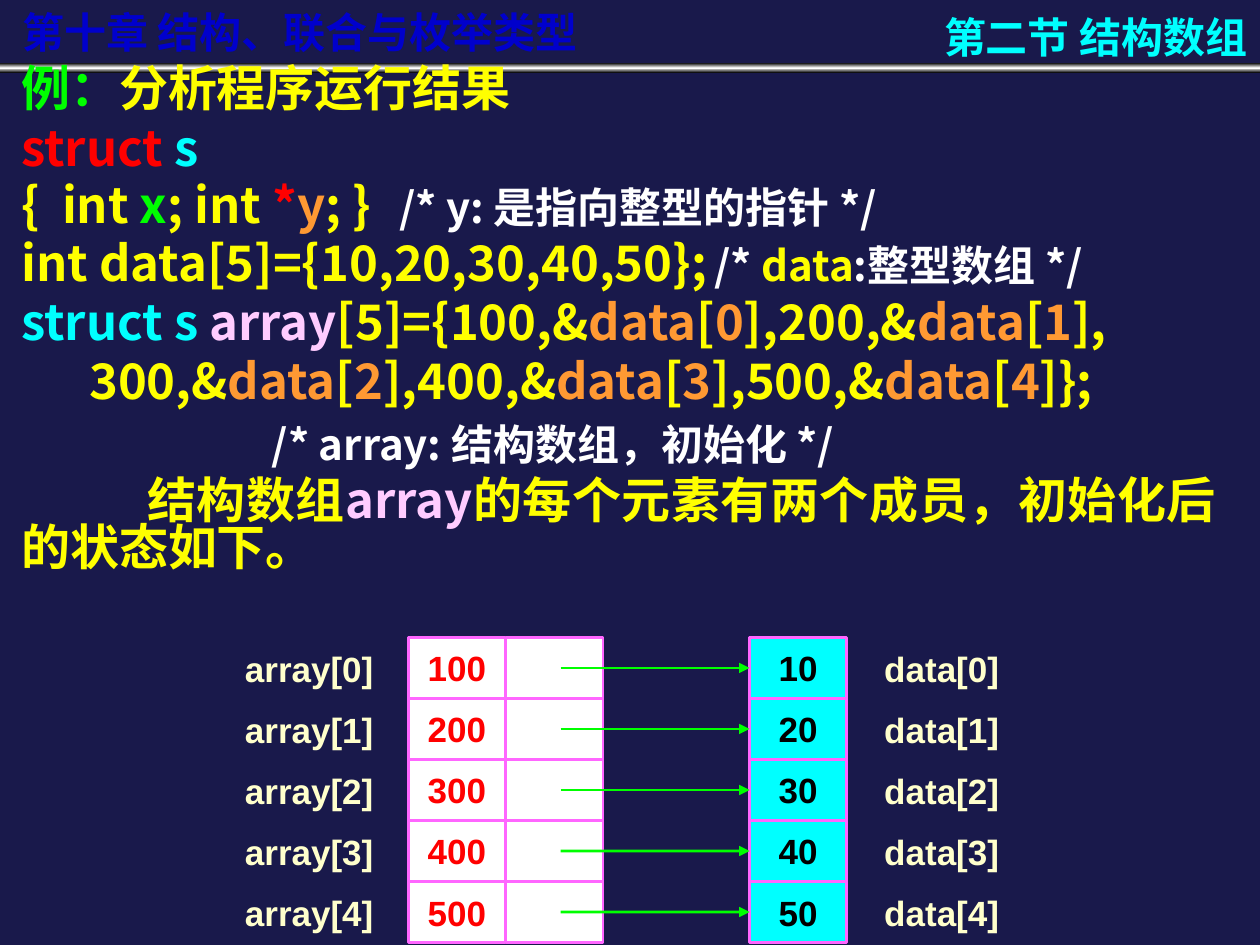
import copy
import pptx
import pptx.util
import pptx.oxml
from pptx.dml.color import RGBColor
from pptx.enum.shapes import MSO_CONNECTOR, MSO_SHAPE
from pptx.enum.text import MSO_ANCHOR, PP_ALIGN
from pptx.oxml.ns import qn
from dataclasses import dataclass
from lxml import etree

Cm, Pt = pptx.util.Cm, pptx.util.Pt


@dataclass(frozen=True)
class Theme:
    back: str = "19194B"
    blue: str = "0000CC"
    cyan: str = "00FFFF"
    green: str = "00FF00"
    yellow: str = "FFFF00"
    red: str = "FF0000"
    orange: str = "FF9933"
    pink: str = "FFCCFF"
    edge: str = "FF66FF"
    cream: str = "FFFFCC"
    white: str = "FFFFFF"
    black: str = "000000"
    shade: str = "6A6A88"
    code: int = 28
    note: int = 24
    cell: int = 20
    sans: str = "Noto Sans CJK SC"
    arial: str = "Arial"


T = Theme()


def add_run(para, text, color, size, face):
    run = para.add_run()
    run.text = text
    font = run.font
    font.size, font.bold, font.name = Pt(size), True, face
    font.color.rgb = RGBColor.from_string(color)
    latin = font._element.find(qn("a:latin"))
    east = etree.Element(qn("a:ea"), typeface=face)
    latin.addnext(east)
    return run


def add_text(left, top, width, height, anchor=MSO_ANCHOR.MIDDLE, wrap=True):
    """Add an empty text box and return its frame."""
    box = slide.shapes.add_textbox(Cm(left), Cm(top), Cm(width), Cm(height))
    frame = box.text_frame
    frame.word_wrap = wrap
    frame.vertical_anchor = anchor
    return frame


deck = pptx.Presentation()
deck.slide_width, deck.slide_height = Cm(25.4), Cm(19.05)
slide = deck.slides.add_slide(deck.slide_layouts[6])
slide.background.fill.solid()
slide.background.fill.fore_color.rgb = RGBColor.from_string(T.back)

# Header rule, shaded from black to white and back
bar = slide.shapes.add_shape(MSO_SHAPE.RECTANGLE, 0, Cm(1.27), Cm(25.4), Cm(0.2))
bar.shadow.inherit = False
bar.line.fill.background()
bar.fill.gradient()
bar.fill.gradient_angle = 90
stops = bar.fill.gradient_stops
for stop in stops:
    stop.color.rgb = RGBColor.from_string(T.black)
first = stops[0]._gs
mid = copy.deepcopy(first)
mid.set("pos", "50000")
first.addnext(mid)
bar.fill.gradient_stops[1].color.rgb = RGBColor.from_string(T.white)

# Chapter title with a text shadow, and section title
frame = add_text(0.2, 0.2, 12.7, 1.07, MSO_ANCHOR.BOTTOM)
run = add_run(frame.paragraphs[0], "第十章 结构、联合与枚举类型", T.blue, T.note, T.sans)
glow = pptx.oxml.parse_xml(
    '<a:effectLst xmlns:a="http://schemas.openxmlformats.org/drawingml/2006/main">'
    '<a:outerShdw dist="17961" dir="2700000">'
    f'<a:srgbClr val="{T.shade}"/></a:outerShdw></a:effectLst>')
run.font._element.find(qn("a:solidFill")).addnext(glow)

frame = add_text(15.44, 0, 9.96, 1.47, wrap=False)
frame.paragraphs[0].alignment = PP_ALIGN.RIGHT
add_run(frame.paragraphs[0], "第二节 结构数组", T.cyan, T.note, T.sans)

# Program text: space before, left margin, first indent, tab stop, runs
data, code = ("data", T.orange), T.yellow
lines = [
    (0, 0, 0, 0, [("例：", T.green), ("分析程序运行结果", code)]),
    (7, 0, 0, 0, [("struct ", T.red), ("s", T.cyan)]),
    (6, 0, 0, 9, [("{  int ", code), ("x", T.green), ("; int ", code),
                  ("*", T.red), ("y", T.orange), ("; }", code),
                  ("\t/* y: 是指向整型的指针 */", T.white, T.note)]),
    (6, 0, 0, 14.3, [("int data[5]={10,20,30,40,50};", code),
                     ("\t/* ", T.white, T.note), ("data", code, T.note),
                     (":整型数组 */", T.white, T.note)]),
    (7, 0, 0, 0, [("struct s ", T.cyan), ("array", T.pink), ("[5]={100,&", code),
                  data, ("[", code), ("0", T.orange), ("],200,&", code),
                  data, ("[", code), ("1", T.orange), ("],", code)]),
    (7, 1.37, 0, 0, [("300,&", code), data, ("[", code), ("2", T.orange),
                     ("],400,&", code), data, ("[", code), ("3", T.orange),
                     ("],500,&", code), data, ("[", code), ("4", T.orange),
                     ("]};", code)]),
    (11, 5.05, 0, 0, [("/* array: 结构数组，初始化 */", T.white, T.note)]),
    (7, 0, 2.54, 0, [("结构数组", code), ("array", T.pink),
                     ("的每个元素有两个成员，初始化后的状态如下。", code)]),
]
frame = add_text(0.18, 1.27, 24.59, 11.46, MSO_ANCHOR.TOP)
for row, (gap, left, indent, tab, runs) in enumerate(lines):
    para = frame.add_paragraph() if row else frame.paragraphs[0]
    para.alignment = PP_ALIGN.JUSTIFY
    para.line_spacing = 0.8
    if row:
        para.space_before = Pt(gap)
    props = para._p.get_or_add_pPr()
    props.set("marL", str(Cm(left)))
    props.set("indent", str(Cm(indent)))
    if tab:
        tabs = etree.SubElement(props, qn("a:tabLst"))
        etree.SubElement(tabs, qn("a:tab"), pos=str(Cm(tab)), algn="l")
    for text, color, *size in runs:
        add_run(para, text, color, size[0] if size else T.code, T.sans)

# Array cells, each pointing to its data cell
start, pitch, width = 12.85, 1.23, 1.96
for row in range(5):
    top = start + row * pitch
    cells = [(8.23, str(100 * (row + 1)), T.white, T.red),
             (10.2, "", T.white, T.red),
             (15.11, str(10 * (row + 1)), T.cyan, T.black)]
    for left, text, fill, color in cells:
        cell = slide.shapes.add_shape(
            MSO_SHAPE.RECTANGLE, Cm(left), Cm(top), Cm(width), Cm(pitch))
        cell.shadow.inherit = False
        cell.fill.solid()
        cell.fill.fore_color.rgb = RGBColor.from_string(fill)
        cell.line.color.rgb = RGBColor.from_string(T.edge)
        cell.line.width = Pt(1.5)
        if text:
            para = cell.text_frame.paragraphs[0]
            para.alignment = PP_ALIGN.CENTER
            add_run(para, text, color, T.cell, T.arial)

    for left, span, name in [(4.24, 3.99, "array"), (17.04, 3.89, "data")]:
        para = add_text(left, top + 0.06, span, 1.12).paragraphs[0]
        para.alignment = PP_ALIGN.CENTER
        add_run(para, f"{name}[{row}]", T.cream, T.cell, T.arial)

    level = Cm(top + pitch / 2)
    link = slide.shapes.add_connector(
        MSO_CONNECTOR.STRAIGHT, Cm(11.3), level, Cm(15.11), level)
    link.end_connect(cell, 1)
    link.line.color.rgb = RGBColor.from_string(T.green)
    link.line.width = Pt(1.5)
    etree.SubElement(link.line._get_or_add_ln(), qn("a:tailEnd"), type="triangle")
    etree.SubElement(link._element.spPr, qn("a:effectLst"))

deck.save("out.pptx")
